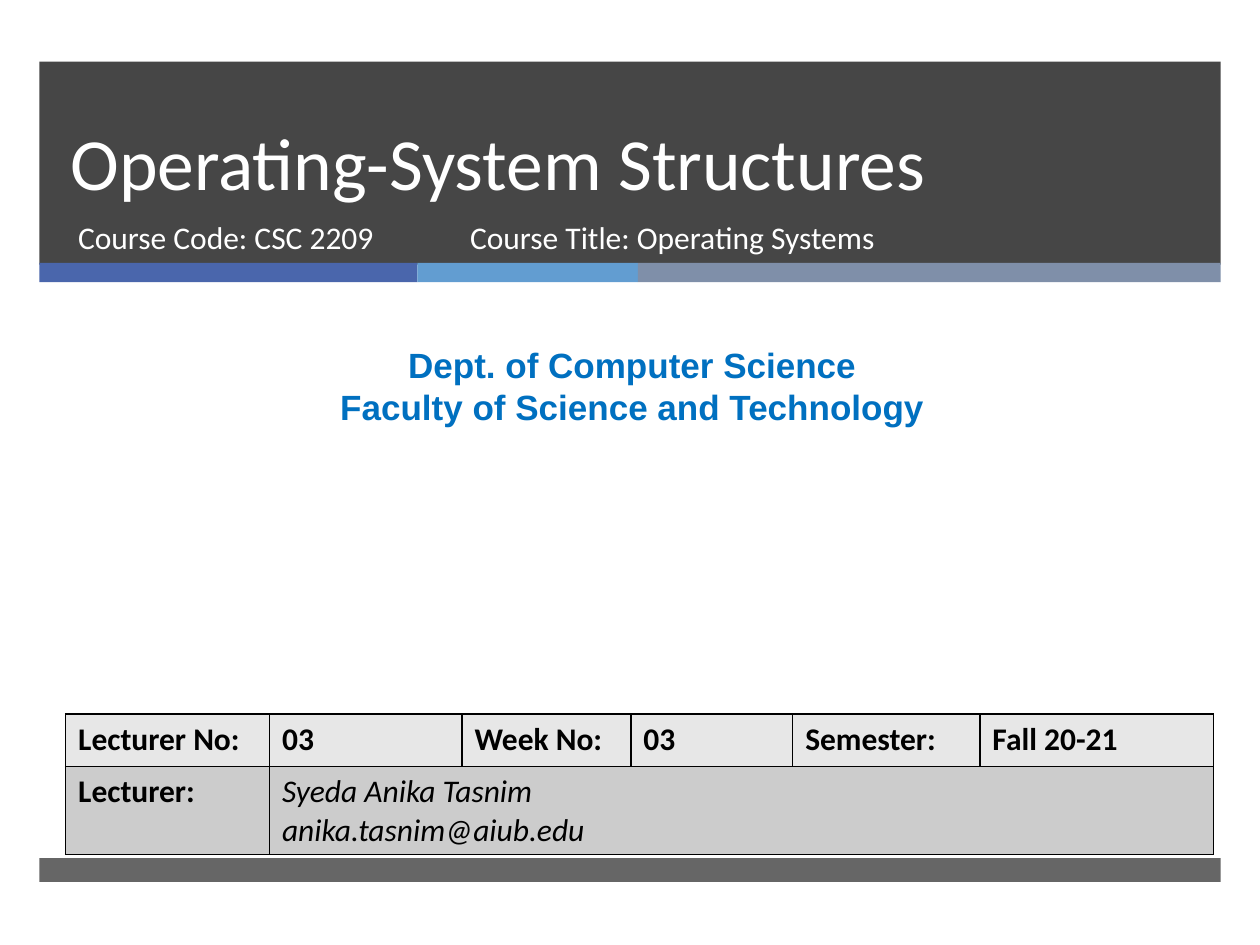
from lxml import etree
from pptx import Presentation
from pptx.dml.color import RGBColor
from pptx.enum.shapes import MSO_SHAPE
from pptx.enum.text import MSO_ANCHOR, PP_ALIGN
from pptx.oxml import parse_xml
from pptx.oxml.ns import nsdecls, qn
from pptx.util import Pt

RECTANGLE = MSO_SHAPE.RECTANGLE
TOP, BOTTOM = MSO_ANCHOR.TOP, MSO_ANCHOR.BOTTOM
LEFT, CENTER = PP_ALIGN.LEFT, PP_ALIGN.CENTER
COLORS = {
    "band": "262626", "white": "FFFFFF", "black": "000000",
    "blue": "4A66AC", "sky": "629DD1", "slate": "7F8FA9",
    "department": "0070C0", "light_row": "E7E7E7", "dark_row": "CCCCCC",
}


def color(name):
    """Return the named palette colour."""
    return RGBColor.from_string(COLORS[name])


def add_bar(slide, box, fill, opacity=100):
    """Add a borderless rectangle with the given opacity in percent."""
    bar = slide.shapes.add_shape(RECTANGLE, *map(Pt, box))
    bar.shadow.inherit = False
    bar.fill.solid()
    bar.fill.fore_color.rgb = color(fill)
    bar.line.fill.background()
    if opacity < 100:
        solid = bar.element.spPr.find(qn("a:solidFill"))
        etree.SubElement(solid[0], qn("a:alpha")).set("val", str(opacity * 1000))


def write_lines(frame, lines, size, ink, name="Calibri", bold=False,
                italic=False, alignment=LEFT):
    """Write one formatted paragraph for each line."""
    frame.word_wrap = True
    frame.text = "\n".join(lines)
    for paragraph in frame.paragraphs:
        paragraph.alignment = alignment
        font = paragraph.font
        font.name, font.size = name, Pt(size)
        font.bold, font.italic = bold, italic
        font.color.rgb = color(ink)


def add_text(slide, box, lines, size, ink, **style):
    """Add a wrapping text box."""
    text_box = slide.shapes.add_textbox(*map(Pt, box))
    write_lines(text_box.text_frame, lines, size, ink, **style)


def add_header(slide, box):
    """Place the dark band, the coloured strip, the title and the course line."""
    left, top, width, height = box
    add_bar(slide, box, "band", 85)
    strip_left = left
    for fill, strip_width in (("blue", 216), ("sky", 126), ("slate", width - 342)):
        add_bar(slide, (strip_left, top + height - 1, strip_width, 11), fill)
        strip_left += strip_width

    title = slide.shapes.title
    title.left, title.top = Pt(left + 10.5), Pt(top)
    title.width, title.height = Pt(615), Pt(85.5)
    frame = title.text_frame
    write_lines(frame, ["Operating-System Structures"], 42, "white")
    frame.vertical_anchor = BOTTOM
    frame.paragraphs[0].line_spacing = Pt(46)
    title.element.getparent().append(title.element)

    for offset, text_width, text in (
        (15, 220, "Course Code: CSC 2209"),
        (239, 328, "Course Title: Operating Systems"),
    ):
        add_text(slide, (left + offset, top + 85.5, text_width, 38), [text], 18, "white")


def add_department(slide, box):
    """Place the department and faculty names."""
    add_text(slide, box, ["Dept. of Computer Science", "Faculty of Science and Technology"],
             20, "department", name="Arial", bold=True, alignment=CENTER)


def format_cell(cell, fill):
    """Fill a cell and draw its four black borders."""
    cell.fill.solid()
    cell.fill.fore_color.rgb = color(fill)
    cell.vertical_anchor = TOP
    properties = cell._tc.get_or_add_tcPr()
    for index, side in enumerate("LRTB"):
        properties.insert(index, parse_xml(
            f'<a:ln{side} {nsdecls("a")} w="12700"><a:solidFill>'
            f'<a:srgbClr val="{COLORS["black"]}"/></a:solidFill></a:ln{side}>'))


def add_lecture_table(slide, box):
    """Place the table of lecture details."""
    column_widths = (116.5, 110, 96.5, 92.5, 107, 133.5)
    table = slide.shapes.add_table(2, len(column_widths), *map(Pt, box)).table
    for column, width in zip(table.columns, column_widths):
        column.width = Pt(width)
    for row, height, fill in zip(table.rows, (30, 50), ("light_row", "dark_row")):
        row.height = Pt(height)
        for cell in row.cells:
            format_cell(cell, fill)
    table.cell(1, 1).merge(table.cell(1, 5))

    details = ("Lecturer No:", "03", "Week No:", "03", "Semester:", "Fall 20-21")
    for index, text in enumerate(details):
        write_lines(table.cell(0, index).text_frame, [text], 18, "black", bold=True)
    write_lines(table.cell(1, 0).text_frame, ["Lecturer:"], 18, "black", bold=True)
    write_lines(table.cell(1, 1).text_frame,
                ["Syeda Anika Tasnim", "anika.tasnim@aiub.edu"], 18, "black", italic=True)


def main():
    """Build and save the slide."""
    presentation = Presentation()
    presentation.slide_width, presentation.slide_height = Pt(720), Pt(540)
    slide = presentation.slides.add_slide(presentation.slide_layouts[5])
    add_header(slide, (22.5, 35.25, 675, 116))
    add_bar(slide, (22.5, 490.3, 675, 13.7), "band", 70)
    add_department(slide, (6, 193, 710.5, 55.5))
    add_lecture_table(slide, (37.5, 408, 656, 80))
    presentation.save("out.pptx")


if __name__ == "__main__":
    main()
